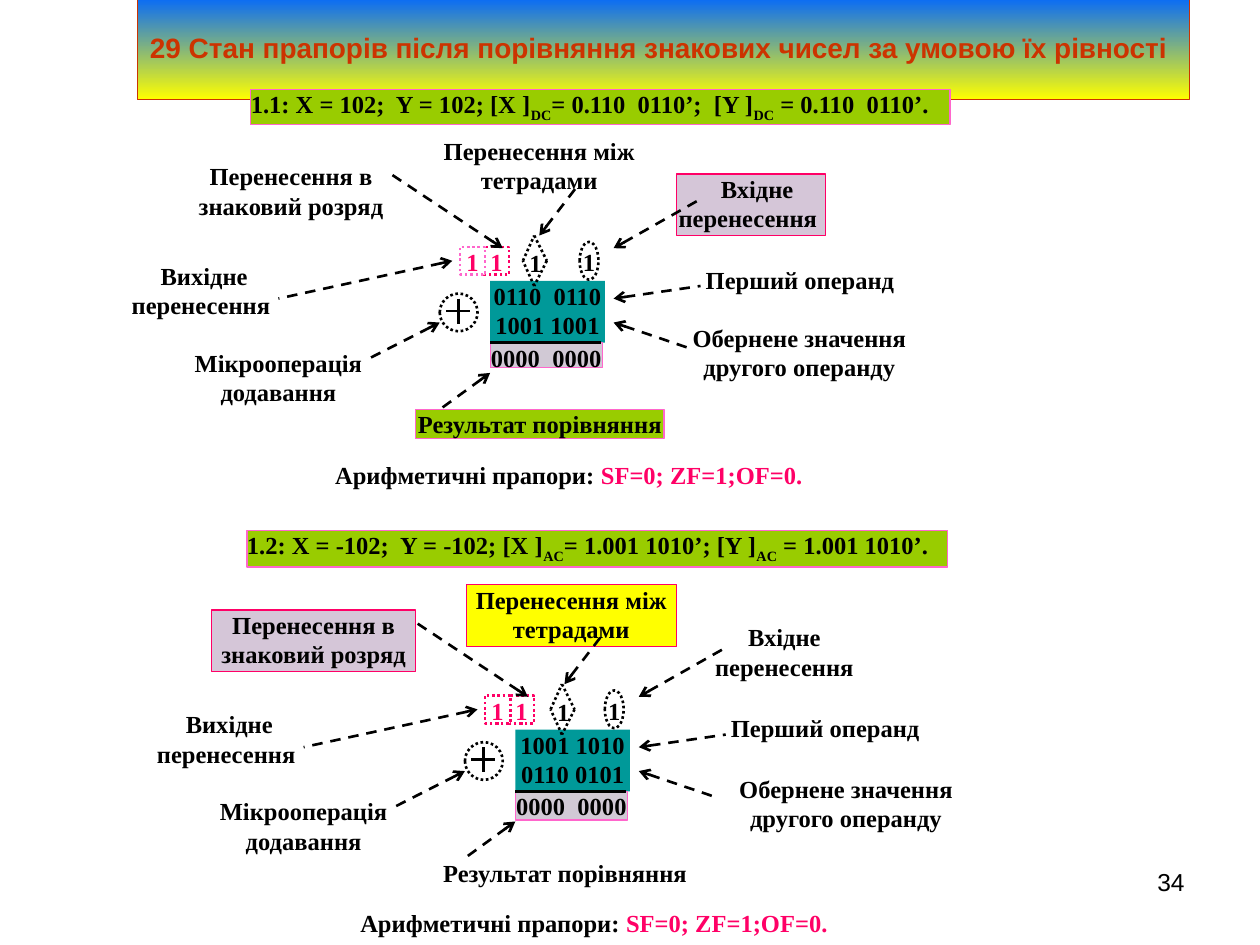
from lxml import etree
from pptx import Presentation
from pptx.dml.color import RGBColor
from pptx.enum.dml import MSO_LINE
from pptx.enum.shapes import MSO_CONNECTOR, MSO_SHAPE
from pptx.enum.text import MSO_ANCHOR, MSO_AUTO_SIZE, PP_ALIGN
from pptx.oxml.ns import qn
from pptx.util import Inches, Pt

RECT, OVAL = MSO_SHAPE.RECTANGLE, MSO_SHAPE.OVAL
STRAIGHT = MSO_CONNECTOR.STRAIGHT
DOT, DASH = MSO_LINE.ROUND_DOT, MSO_LINE.DASH
LEFT, CENTER, RIGHT = PP_ALIGN.LEFT, PP_ALIGN.CENTER, PP_ALIGN.RIGHT
TOP, MIDDLE = MSO_ANCHOR.TOP, MSO_ANCHOR.MIDDLE
FIT_SHAPE = MSO_AUTO_SIZE.SHAPE_TO_FIT_TEXT

BLACK = RGBColor(0x00, 0x00, 0x00)
WHITE = RGBColor(0xFF, 0xFF, 0xFF)
GREEN = RGBColor(0x99, 0xCC, 0x00)
TEAL = RGBColor(0x00, 0x99, 0x99)
LILAC = RGBColor(0xD5, 0xC6, 0xD8)
GREY = RGBColor(0xD1, 0xC9, 0xD5)
PINK = RGBColor(0xFF, 0x66, 0xCC)
CRIMSON = RGBColor(0xFF, 0x00, 0x66)
YELLOW = RGBColor(0xFF, 0xFF, 0x00)
BLUE = RGBColor(0x00, 0x66, 0xFF)
RUST = RGBColor(0xCC, 0x33, 0x00)

SERIF, SANS = "Times New Roman", "Arial"

PANELS = [
    dict(
        origin=(0, 0), diamond_shift=0,
        heading=("1.1: X = 102;  Y = 102; [X ]_DC_= 0.110  0110’;  [Y ]_DC_ = 0.110  0110’.",
                 (1.99, 0.71, 5.55, 0.28), GREEN, PINK),
        labels=[
            ("Результат порівняння", (3.3, 3.25, 1.97, 0.23), GREEN, PINK),
            ("Перенесення в\nзнаковий розряд", (1.52, 1.28, 1.58, 0.49), WHITE, None),
            ("Обернене значення другого операнду", (5.46, 2.56, 1.77, 0.49), WHITE, None),
            ("Перенесення між\nтетрадами", (3.49, 1.08, 1.58, 0.49), WHITE, None),
            ("  Вхідне перенесення ", (5.37, 1.38, 1.18, 0.49), LILAC, CRIMSON),
        ],
        operands="0110  0110\n1001 1001", result_height=0.2, carry_line=PINK,
    ),
    dict(
        origin=(0.2, 3.56), diamond_shift=0.02,
        heading=("1.2: X = -102;  Y = -102; [X ]_AC_= 1.001 1010’; [Y ]_AC_ = 1.001 1010’.",
                 (1.96, 4.21, 5.56, 0.29), GREEN, PINK),
        labels=[
            ("Результат порівняння", (3.5, 6.81, 1.97, 0.23), None, None),
            ("Перенесення в\nзнаковий розряд", (1.68, 4.84, 1.62, 0.49), LILAC, CRIMSON),
            ("Обернене значення другого операнду", (5.83, 6.14, 1.77, 0.49), WHITE, None),
            ("Перенесення між\nтетрадами", (3.7, 4.64, 1.67, 0.49), YELLOW, CRIMSON),
            ("Вхідне перенесення", (5.57, 4.94, 1.31, 0.49), WHITE, None),
        ],
        operands="1001 1010 0110 0101", result_height=0.23, carry_line=CRIMSON,
    ),
]

COMMON_LABELS = [
    ("Перший операнд", (5.56, 2.1, 1.58, 0.25)),
    ("Вихідне перенесення ", (1.03, 2.07, 1.18, 0.49)),
    ("Мікрооперація\nдодавання", (1.52, 2.76, 1.38, 0.49)),
]

SOLID_LINES = [
    ((3.89, 2.72), (4.77, 2.72)),
    ((3.54, 2.47), (3.73, 2.47)),
    ((3.64, 2.37), (3.64, 2.57)),
]

ARROWS = [
    ((4.87, 1.97), (5.56, 1.58)),
    ((4.87, 2.37), (5.56, 2.27)),
    ((4.87, 2.56), (5.46, 2.76)),
    ((3.89, 2.96), (3.49, 3.25)),
    ((3.49, 2.56), (2.9, 2.86)),
    ((3.99, 1.97), (3.1, 1.38)),
    ((3.59, 2.07), (2.21, 2.37)),
    ((4.28, 1.87), (4.58, 1.48)),
]

DIAMOND = [(4.24, 1.87), (4.34, 2.07), (4.24, 2.27), (4.15, 2.07)]


def format_run(r, color=BLACK, font=SERIF, size=14, bold=True):
    r.font.name, r.font.size, r.font.bold = font, Pt(size), bold
    r.font.color.rgb = color


def set_frame(tf, margins=(0, 0), anchor=TOP, wrap=True):
    tf.word_wrap, tf.vertical_anchor = wrap, anchor
    tf.margin_left = tf.margin_right = Inches(margins[0])
    tf.margin_top = tf.margin_bottom = Inches(margins[1])


def shift(at, origin):
    return (at[0] + origin[0], at[1] + origin[1], *at[2:])


def add_box(slide, text, at, fill=WHITE, line=None, color=BLACK,
            kind=RECT, width=0.75, dash=None, align=CENTER):
    sp = slide.shapes.add_shape(kind, *map(Inches, at))
    sp.shadow.inherit = False
    if fill is None:
        sp.fill.background()
    else:
        sp.fill.solid()
        sp.fill.fore_color.rgb = fill
    if line is None:
        sp.line.fill.background()
    else:
        sp.line.color.rgb, sp.line.width = line, Pt(width)
        sp.line.dash_style = dash
    tf = sp.text_frame
    set_frame(tf)
    tf.text = text
    for p in tf.paragraphs:
        p.alignment = align
        for r in p.runs:
            format_run(r, color)
    return sp


def add_heading(slide, text, at, fill, line):
    p = add_box(slide, "", at, fill, line, align=LEFT).text_frame.paragraphs[0]
    for i, part in enumerate(text.split("_")):
        r = p.add_run()
        r.text = part
        format_run(r)
        if i % 2:
            r.font._element.set("baseline", "-25000")


def add_flags(slide, origin):
    sp = add_box(slide, "Арифметичні прапори: ", shift((2.66, 3.65, 3.9, 0.28), origin), align=LEFT)
    r = sp.text_frame.paragraphs[0].add_run()
    r.text = "SF=0; ZF=1;OF=0."
    format_run(r, CRIMSON)


def add_line(slide, start, end, origin, dash=None, arrow=False):
    ends = (*shift(start, origin), *shift(end, origin))
    cn = slide.shapes.add_connector(STRAIGHT, *map(Inches, ends))
    cn.line.color.rgb, cn.line.width = BLACK, Pt(1.5)
    cn.line.dash_style = dash
    if arrow:
        etree.SubElement(cn.line._get_or_add_ln(), qn("a:headEnd"), type="arrow")
    etree.SubElement(cn._element.spPr, qn("a:effectLst"))


def add_panel(slide, origin, diamond_shift, heading, labels, operands, result_height, carry_line):
    add_heading(slide, *heading)
    for label in labels:
        add_box(slide, *label)
    for text, at in COMMON_LABELS:
        add_box(slide, text, shift(at, origin))
    add_flags(slide, origin)
    add_box(slide, operands, shift((3.89, 2.23, 0.91, 0.49), origin), TEAL)
    for left, line in ((3.84, CRIMSON), (3.65, carry_line)):
        add_box(slide, "1", shift((left, 1.96, 0.2, 0.22), origin), line=line,
                color=CRIMSON, width=1.5, dash=DOT)
    add_box(slide, "0000  0000", shift((3.89, 2.72, 0.89, result_height), origin), GREY, PINK)
    for text, at in (("1", (4.6, 1.92, 0.15, 0.3)), ("", (3.49, 2.33, 0.3, 0.3))):
        add_box(slide, text, shift(at, origin), line=BLACK, kind=OVAL, width=1.5, dash=DOT)
    for start, end in SOLID_LINES:
        add_line(slide, start, end, origin)
    diamond_origin = (origin[0] + diamond_shift, origin[1])
    add_box(slide, "1", shift((4.2, 1.97, 0.1, 0.2), diamond_origin))
    for start, end in zip(DIAMOND, DIAMOND[1:] + DIAMOND[:1]):
        add_line(slide, start, end, diamond_origin, DOT)
    for start, end in ARROWS:
        add_line(slide, start, end, origin, DASH, arrow=True)


def add_title(slide):
    sp = slide.shapes.title
    sp.left, sp.top, sp.width, sp.height = map(Inches, (1.09, 0.19, 8.35, 0.37))
    sp.fill.gradient()
    sp.fill.gradient_angle = 270
    for stop, color, position in zip(sp.fill.gradient_stops, (BLUE, YELLOW), (0, 1)):
        stop.color.rgb, stop.position = color, position
    sp.line.color.rgb, sp.line.width = RUST, Pt(0.75)
    tf = sp.text_frame
    set_frame(tf, (0.1, 0.05), MIDDLE, wrap=False)
    tf.auto_size = FIT_SHAPE
    tf.text = "29 Стан прапорів після порівняння знакових чисел за умовою їх рівності"
    p = tf.paragraphs[0]
    p.alignment = LEFT
    format_run(p.runs[0], RUST, SANS, 16)


def add_page_number(slide):
    tf = slide.shapes.add_textbox(*map(Inches, (7.17, 6.83, 2.33, 0.52))).text_frame
    set_frame(tf, (0.1, 0.05))
    tf.text = "34"
    p = tf.paragraphs[0]
    p.alignment = RIGHT
    format_run(p.runs[0], font=SANS, bold=False)


def main():
    prs = Presentation()
    prs.slide_width, prs.slide_height = Inches(10), Inches(7.5)
    slide = prs.slides.add_slide(prs.slide_layouts[5])
    for panel in PANELS:
        add_panel(slide, **panel)
    add_title(slide)
    add_page_number(slide)
    prs.save("out.pptx")


if __name__ == "__main__":
    main()
